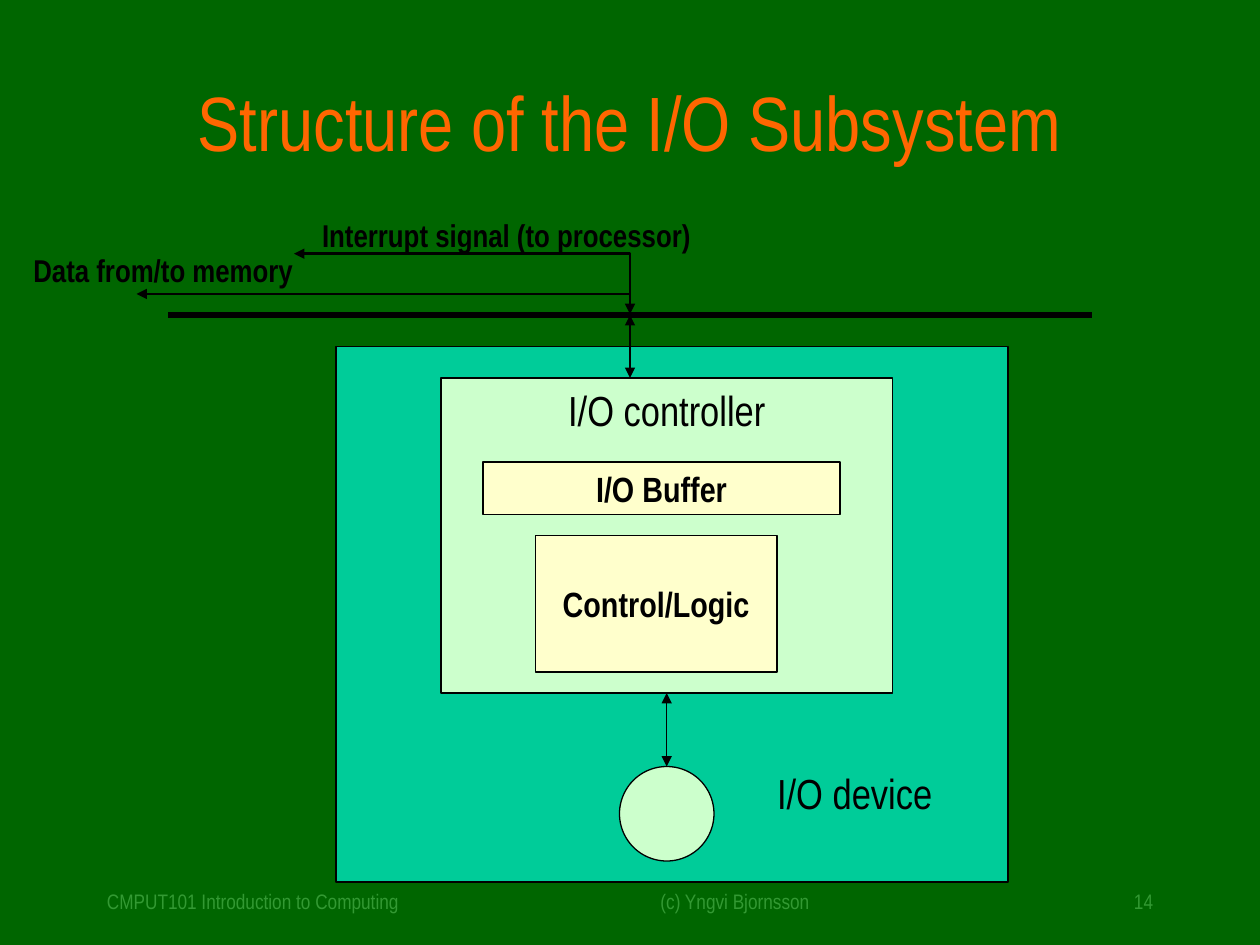
from pptx import Presentation
from pptx import util as u
from pptx.dml.color import RGBColor
from pptx.enum import shapes, text
from pptx.oxml.ns import qn
from lxml import etree

Pt = u.Pt
FONT = "Arial Narrow"
BLACK = RGBColor(0, 0, 0)
DARK_GREEN = RGBColor(0x00, 0x66, 0x00)
FOOTER_GREEN = RGBColor(0x33, 0x99, 0x33)
ORANGE = RGBColor(0xFF, 0x66, 0x00)
TEAL = RGBColor(0x00, 0xCC, 0x99)
MINT = RGBColor(0xCC, 0xFF, 0xCC)
CREAM = RGBColor(0xFF, 0xFF, 0xCC)
LEFT, CENTER, RIGHT = text.PP_ALIGN.LEFT, text.PP_ALIGN.CENTER, text.PP_ALIGN.RIGHT
TOP, MIDDLE = text.MSO_ANCHOR.TOP, text.MSO_ANCHOR.MIDDLE
RECTANGLE, OVAL = shapes.MSO_SHAPE.RECTANGLE, shapes.MSO_SHAPE.OVAL


def write_text(shape, words, size=24, color=BLACK, bold=False, align=LEFT,
               anchor=TOP, wrap=False):
    frame = shape.text_frame
    frame.word_wrap = wrap
    frame.vertical_anchor = anchor
    paragraph = frame.paragraphs[0]
    paragraph.alignment = align
    run = paragraph.add_run()
    run.text = words
    run.font.name = FONT
    run.font.size = Pt(size)
    run.font.bold = bold
    run.font.color.rgb = color


def add_label(slide, box, words, grow=False, **style):
    label = slide.shapes.add_textbox(*map(Pt, box))
    write_text(label, words, **style)
    if grow:
        label.text_frame.auto_size = text.MSO_AUTO_SIZE.SHAPE_TO_FIT_TEXT


def add_block(slide, kind, box, fill):
    block = slide.shapes.add_shape(kind, *map(Pt, box))
    block.shadow.inherit = False
    block.fill.solid()
    block.fill.fore_color.rgb = fill
    block.line.color.rgb = BLACK
    block.line.width = Pt(0.75)
    return block


def add_line(slide, start, end, width, ends=(), kind=shapes.MSO_CONNECTOR.STRAIGHT):
    line = slide.shapes.add_connector(kind, *map(Pt, (*start, *end)))
    line.line.color.rgb = BLACK
    line.line.width = Pt(width)
    properties = line._element.spPr
    for end_name in ends:
        etree.SubElement(properties.find(qn("a:ln")), qn(f"a:{end_name}"), type="triangle")
    etree.SubElement(properties, qn("a:effectLst"))
    return line


def add_elbow(slide, start, end, ends):
    rise, run = start[1] - end[1], start[0] - end[0]
    left = (start[0] + end[0] - rise) / 2
    top = (start[1] + end[1] - run) / 2
    elbow = add_line(slide, (left, top + run), (left + rise, top), 1.5, ends,
                     shapes.MSO_CONNECTOR.ELBOW)
    properties = elbow._element.spPr
    properties.find(qn("a:xfrm")).set("rot", "16200000")
    properties.find(qn("a:prstGeom")).set("prst", "bentConnector2")


def draw_title(slide, box):
    add_label(slide, box, "Structure of the I/O Subsystem", size=44, color=ORANGE,
              align=CENTER, anchor=MIDDLE, wrap=True)


def draw_footer(slide, box):
    left, top, width, height = box
    parts = [
        (0, 264, "CMPUT101 Introduction to Computing", LEFT),
        (276, 180, "(c) Yngvi Bjornsson", CENTER),
        (width - 150, 150, "14", RIGHT),
    ]
    for offset, part_width, words, align in parts:
        add_label(slide, (left + offset, top, part_width, height), words, size=12,
                  color=FOOTER_GREEN, align=align, wrap=True)


def draw_controller(slide, box):
    left, top, width, height = box
    controller = add_block(slide, RECTANGLE, box, MINT)
    write_text(controller, "I/O controller", align=CENTER)
    parts = [
        ((left + 24, top + 48, 204, 30), "I/O Buffer"),
        ((left + 54, top + 90, 138, 78), "Control/Logic"),
    ]
    for part_box, words in parts:
        part = add_block(slide, RECTANGLE, part_box, CREAM)
        write_text(part, words, size=20, bold=True, align=CENTER, anchor=MIDDLE)


def draw_device(slide, box):
    left, top, width, height = box
    add_block(slide, RECTANGLE, box, TEAL)
    controller = (left + 60, top + 18, 258, 180)
    draw_controller(slide, controller)
    controller_bottom = controller[1] + controller[3]
    circle_top, diameter = top + 240, 54
    center = controller[0] + controller[2] / 2
    add_block(slide, OVAL, (center - diameter / 2, circle_top, diameter, diameter), MINT)
    add_line(slide, (center, circle_top), (center, controller_bottom), 0.75,
             ("headEnd", "tailEnd"))
    add_label(slide, (left + 245, top + 237, 103, 36), "I/O device", grow=True)


def draw_bus(slide, box):
    left, top, width, height = box
    bus = top + height
    junction = left + 348
    add_line(slide, (left + 84, bus), (left + width, bus), 4)
    add_line(slide, (junction, bus + 36), (junction, bus), 1.5, ("headEnd", "tailEnd"))
    add_elbow(slide, (junction, bus - 12), (left + 156, bus - 35), ("tailEnd",))
    add_elbow(slide, (junction, bus - 0.5), (left + 66, bus - 12), ("headEnd", "tailEnd"))
    add_label(slide, (left, top + 20, 163, 29), "Data from/to memory",
              grow=True, size=18, bold=True)
    add_label(slide, (left + 165, top, 225, 29), "Interrupt signal (to processor)",
              grow=True, size=18, bold=True)


def main():
    presentation = Presentation()
    presentation.slide_width, presentation.slide_height = Pt(720), Pt(540)
    slide = presentation.slides.add_slide(presentation.slide_layouts[6])
    slide.background.fill.solid()
    slide.background.fill.fore_color.rgb = DARK_GREEN
    draw_footer(slide, (54, 504, 612, 24))
    draw_device(slide, (192, 198, 384, 306))
    draw_title(slide, (54, 36, 612, 66))
    draw_bus(slide, (12, 120, 612, 60))
    presentation.save("out.pptx")


if __name__ == "__main__":
    main()
